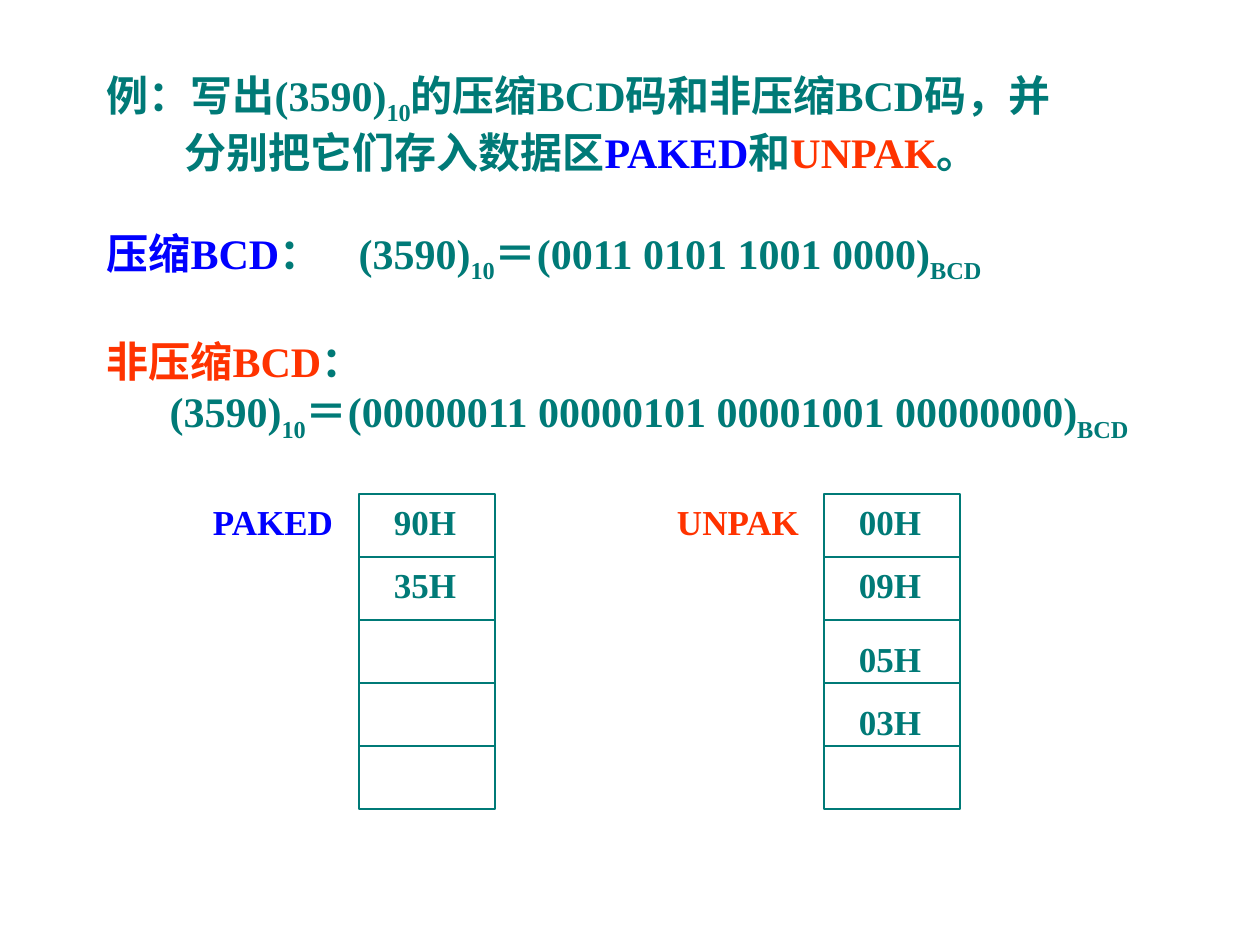
from pptx import Presentation
from pptx.dml.color import RGBColor
from pptx.enum.shapes import MSO_SHAPE as Shape
from pptx.enum.text import MSO_ANCHOR as Anchor, MSO_AUTO_SIZE as Auto, PP_ALIGN as Align
from pptx.oxml.ns import qn
from pptx.util import Emu, Pt
from lxml import etree

TEAL, BLUE, RED = "007A77", "0000FF", "FF3300"
CELL_W, CELL_H, CELLS = 136, 63, 5


def px(n):
    """Turn pixels into EMU."""
    return Emu(round(n * 914400 / 126))


def rgb(value):
    """Turn a hex string into a colour."""
    return RGBColor.from_string(value)


def apply(obj, **values):
    """Set attributes from format values."""
    for name, value in values.items():
        setattr(obj, name, value)


def add_run(p, text, color=TEAL, size=24, sub=False):
    """Add one bold run, as a subscript if asked."""
    r = p.add_run()
    r.text = text
    apply(r.font, name="Times New Roman", size=Pt(size), bold=True)
    r.font.color.rgb = rgb(color)
    if sub:
        r.font._element.set("baseline", "-25000")


def fill_placeholder(sp, box, paragraphs):
    """Place a placeholder and write its (indent, space before, runs) paragraphs."""
    apply(sp, **dict(zip(("left", "top", "width", "height"), map(px, box))))
    tf = sp.text_frame
    apply(tf, word_wrap=True, auto_size=Auto.NONE, vertical_anchor=Anchor.TOP)
    for i, (indent, before, runs) in enumerate(paragraphs):
        p = tf.add_paragraph() if i else tf.paragraphs[0]
        apply(p, alignment=Align.LEFT, space_before=Pt(before))
        pPr = p._p.get_or_add_pPr()
        pPr.set("marL", str(px(indent)))
        pPr.set("indent", "0")
        etree.SubElement(pPr, qn("a:buNone"))
        tabs = etree.SubElement(pPr, qn("a:tabLst"))
        etree.SubElement(tabs, qn("a:tab"), pos=str(px(252)), algn="l")
        for text, *style in runs:
            add_run(p, text, **(style[0] if style else {}))


def add_label(s, center, top, text, color=TEAL, w=96, h=55):
    """Add a one-line label centred on a given x."""
    sp = s.shapes.add_textbox(px(center - w / 2), px(top), px(w), px(h))
    tf = sp.text_frame
    apply(tf, word_wrap=False, vertical_anchor=Anchor.MIDDLE)
    p = tf.paragraphs[0]
    p.alignment = Align.CENTER
    add_run(p, text, color, 20)


def add_memory(s, left, top, name, color, values):
    """Draw a named column of memory cells with (offset, value) contents."""
    for i in range(CELLS):
        sp = s.shapes.add_shape(Shape.RECTANGLE, px(left), px(top + i * CELL_H),
                                px(CELL_W), px(CELL_H))
        sp.shadow.inherit = False
        sp.fill.background()
        sp.line.color.rgb = rgb(TEAL)
        sp.line.width = Pt(1)
    add_label(s, left - 86, top, name, color, w=168)
    for offset, value in values:
        add_label(s, left + 66, top + offset, value)


def main():
    """Build the slide and save it."""
    prs = Presentation()
    apply(prs, slide_width=px(1260), slide_height=px(945))
    s = prs.slides.add_slide(prs.slide_layouts[1])
    sub, blue, red = {"sub": True}, {"color": BLUE}, {"color": RED}
    fill_placeholder(s.shapes.title, (94, 63, 1092, 120), [
        (0, 0, [("例：写出(3590)",), ("10", sub), ("的压缩BCD码和非压缩BCD码，并",)]),
        (78, 0, [("分别把它们存入数据区",), ("PAKED", blue), ("和",),
                 ("UNPAK", red), ("。",)]),
    ])
    fill_placeholder(s.placeholders[1], (94, 221, 1092, 229), [
        (0, 0, [("压缩BCD", blue), ("：\t(3590)",), ("10", sub),
                ("＝(0011 0101 1001 0000)",), ("BCD", sub)]),
        (0, 29, [("非压缩BCD", red), ("：",)]),
        (63, 0, [("(3590)",), ("10", sub),
                 ("＝(00000011 00000101 00001001 00000000)",), ("BCD", sub)]),
    ])
    add_memory(s, 359, 494, "PAKED", BLUE, [(0, "90H"), (63, "35H")])
    add_memory(s, 824, 494, "UNPAK", RED,
               [(0, "00H"), (63, "09H"), (137, "05H"), (200, "03H")])
    prs.save("out.pptx")


if __name__ == "__main__":
    main()
